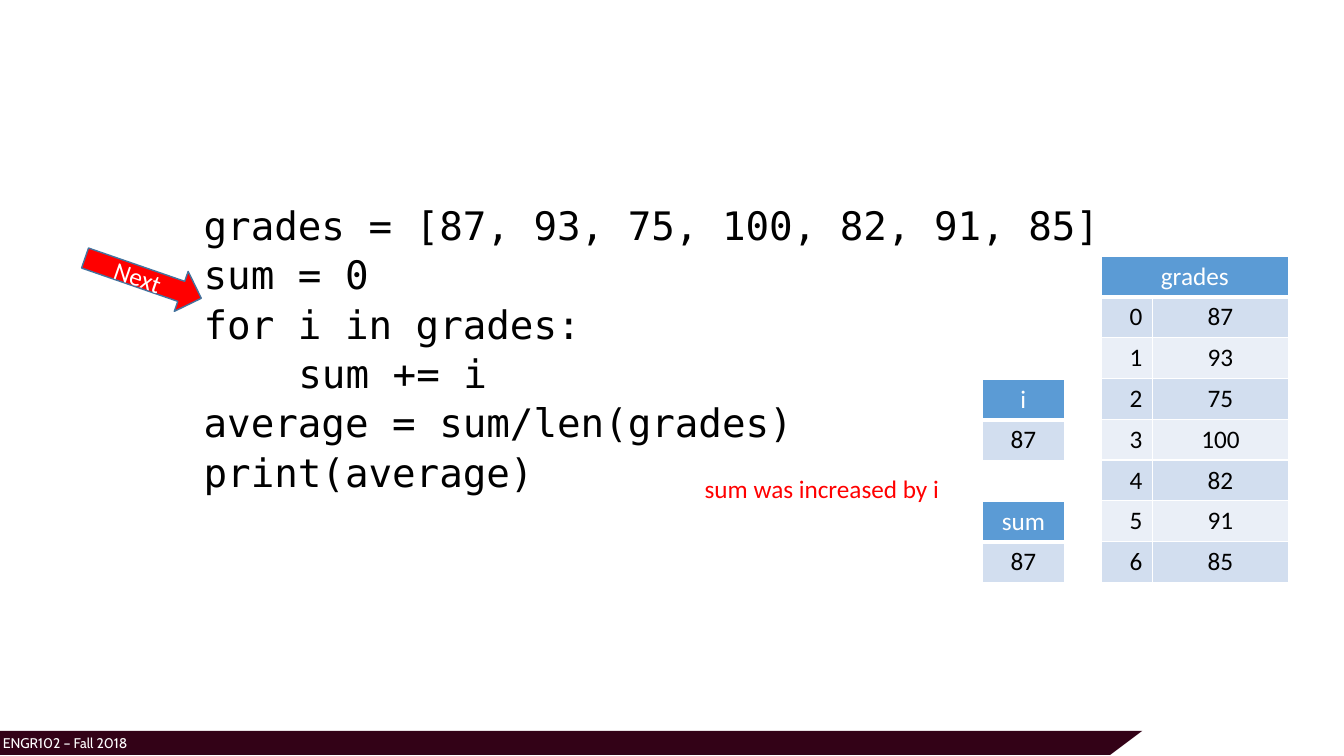
from lxml import etree
from pptx import Presentation
from pptx.dml.color import RGBColor
from pptx.enum.shapes import MSO_SHAPE as SHAPE
from pptx.enum.text import MSO_ANCHOR as ANCHOR, MSO_AUTO_SIZE as AUTO, PP_ALIGN as ALIGN
from pptx.oxml.ns import qn
from pptx.util import Inches, Pt

COLORS = {
    "footer": "330217", "header": "5B9BD5", "band": "D2DEEF", "light": "EAEFF7",
    "red": "FF0000", "arrow_line": "43739E", "white": "FFFFFF", "black": "000000",
}
CODE_FONT, TEXT_FONT, FOOTER_FONT = "DejaVu Sans Mono", "Calibri", "Cabin"
GRADES = [87, 93, 75, 100, 82, 91, 85]
ROW_H = 3.24 / 8
CODE_INDENT = 0.94  # width of four characters of code
CODE = [
    (0, f"grades = {GRADES}"),
    (0, "sum = 0"),
    (0, "for i in grades:"),
    (1, "sum += i"),
    (0, "average = sum/len(grades)"),
    (0, "print(average)"),
]


def color(name):
    return RGBColor.from_string(COLORS[name])


def write(p, text, ink, size=18, font=TEXT_FONT, **formats):
    """Add a run to the paragraph and apply paragraph formats."""
    r = p.add_run()
    r.text = text
    for name, value in {"name": font, "size": Pt(size)}.items():
        setattr(r.font, name, value)
    r.font.color.rgb = color(ink)
    for name, value in formats.items():
        setattr(p, name, value)


def add_label(slide, box, text, ink, **formats):
    tf = slide.shapes.add_textbox(*map(Inches, box)).text_frame
    tf.word_wrap = True
    write(tf.paragraphs[0], text, ink, **formats)


def add_footer(slide, left, top, width, height):
    slant = 0.32
    corners = [(left + 0.01, top), (left + width, top),
               (left + width - slant, top + height), (left, top + height)]
    points = [(Inches(x), Inches(y)) for x, y in corners]
    builder = slide.shapes.build_freeform(*points[0])
    builder.add_line_segments(points[1:], close=True)
    sp = builder.convert_to_shape()
    sp.shadow.inherit = False
    sp.fill.solid()
    sp.fill.fore_color.rgb = color("footer")
    sp.line.fill.background()
    add_label(slide, (left - 0.05, top - 0.01, 7.5, 0.3), "ENGR102 – Fall 2018",
              "white", size=10, font=FOOTER_FONT)


def add_code(slide, box):
    body = slide.placeholders[1]
    for name, value in zip(("left", "top", "width", "height"), box):
        setattr(body, name, Inches(value))
    tf = body.text_frame
    tf.auto_size = AUTO.NONE
    for n, (depth, line) in enumerate(CODE):
        p = tf.paragraphs[0] if n == 0 else tf.add_paragraph()
        write(p, line, "black", size=28, font=CODE_FONT,
              level=2, line_spacing=0.9, space_before=Pt(5))
        pPr = p._p.get_or_add_pPr()
        pPr.set("marL", str(Inches(1 + depth * CODE_INDENT)))
        pPr.set("indent", "0")
        etree.SubElement(pPr, qn("a:buNone"))


def style_cell(cell, fill, bottom=1):
    tcPr = cell._tc.get_or_add_tcPr()
    for side, width in {"L": 1, "R": 1, "T": 1, "B": bottom}.items():
        ln = etree.SubElement(tcPr, qn(f"a:ln{side}"), w=str(Pt(width)))
        solid = etree.SubElement(ln, qn("a:solidFill"))
        etree.SubElement(solid, qn("a:srgbClr"), val=COLORS["white"])
    cell.fill.solid()
    cell.fill.fore_color.rgb = color(fill)


def add_variable(slide, left, top, widths, name, rows):
    """Add a table with the variable's name above its rows of values."""
    table = slide.shapes.add_table(
        len(rows) + 1, len(widths), Inches(left), Inches(top),
        Inches(sum(widths)), Inches(ROW_H * (len(rows) + 1))).table
    for column, width in zip(table.columns, widths):
        column.width = Inches(width)
    for row in table.rows:
        row.height = Inches(ROW_H)
    for c in range(len(widths)):
        style_cell(table.cell(0, c), "header", bottom=3)
    if len(widths) > 1:
        table.cell(0, 0).merge(table.cell(0, len(widths) - 1))
    write(table.cell(0, 0).text_frame.paragraphs[0], name, "white", alignment=ALIGN.CENTER)
    for r, values in enumerate(rows, 1):
        for c, value in enumerate(values):
            cell = table.cell(r, c)
            style_cell(cell, "band" if r % 2 else "light")
            is_index = c < len(values) - 1
            write(cell.text_frame.paragraphs[0], str(value), "black",
                  alignment=ALIGN.RIGHT if is_index else ALIGN.CENTER)


def add_next_arrow(slide, box):
    sp = slide.shapes.add_shape(SHAPE.RIGHT_ARROW, *map(Inches, box))
    sp.rotation = 19.1
    sp.shadow.inherit = False
    sp.fill.solid()
    sp.fill.fore_color.rgb = color("red")
    sp.line.color.rgb = color("arrow_line")
    sp.line.width = Pt(1)
    tf = sp.text_frame
    tf.vertical_anchor = ANCHOR.MIDDLE
    write(tf.paragraphs[0], "Next", "white", alignment=ALIGN.CENTER)


def main():
    prs = Presentation()
    prs.slide_width, prs.slide_height = Inches(13.33), Inches(7.5)
    slide = prs.slides.add_slide(prs.slide_layouts[1])
    title = slide.shapes.title._element
    title.getparent().remove(title)

    add_footer(slide, -0.02, 7.25, 11.35, 0.24)
    add_code(slide, (0.92, 2, 11.5, 4.76))
    add_variable(slide, 10.92, 2.54, [0.51, 1.35], "grades", list(enumerate(GRADES)))
    add_variable(slide, 9.74, 4.97, [0.82], "sum", [[87]])
    add_next_arrow(slide, (0.81, 2.55, 1.22, 0.42))
    add_variable(slide, 9.74, 3.76, [0.82], "i", [[87]])
    add_label(slide, (6.89, 4.65, 2.85, 0.4), "sum was increased by i", "red")
    prs.save("out.pptx")


if __name__ == "__main__":
    main()
